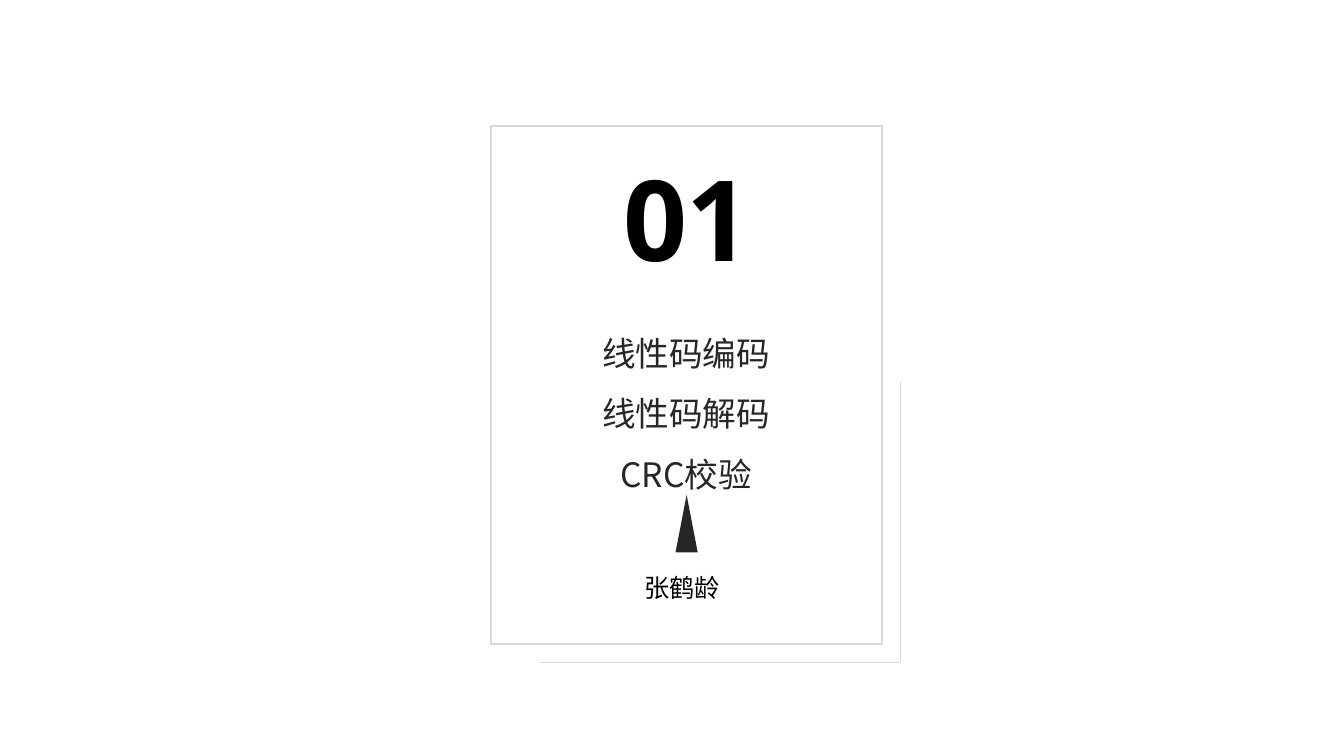
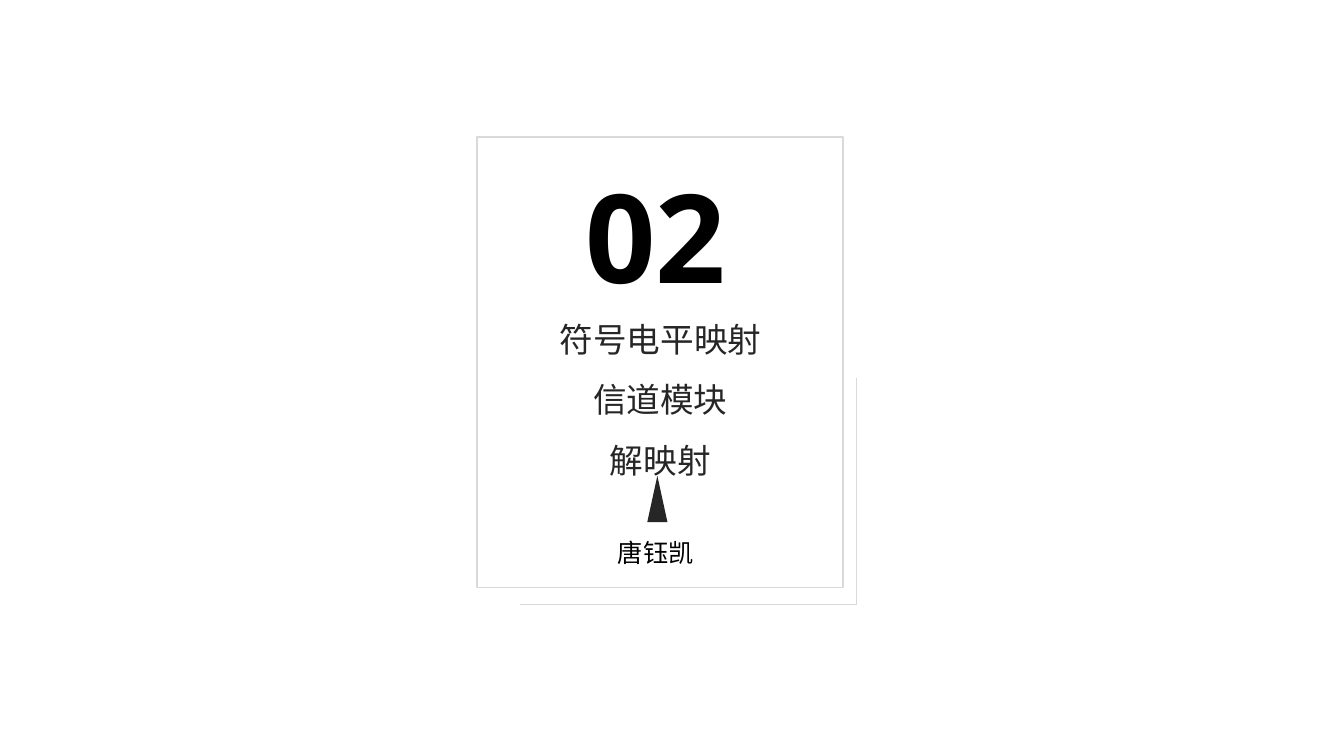
import pptx
import pptx.dml.color
import pptx.enum.shapes
import pptx.enum.text
import pptx.oxml.ns
import pptx.util
from lxml import etree

BLACK = pptx.dml.color.RGBColor(0x00, 0x00, 0x00)
CHARCOAL = pptx.dml.color.RGBColor(0x26, 0x26, 0x26)
SILVER = pptx.dml.color.RGBColor(0xD9, 0xD9, 0xD9)
NUMBER_FONT = "Open Sans"
TEXT_FONT = "Noto Sans CJK SC"
EMU_PER_PX = 9144  # 100 px to the inch
CENTER = pptx.enum.text.PP_ALIGN.CENTER
LEFT = pptx.enum.text.PP_ALIGN.LEFT


def px(*lengths):
    """Turn px lengths into EMU."""
    return [pptx.util.Emu(length * EMU_PER_PX) for length in lengths]


def add_xml(parent, tag, **attributes):
    return etree.SubElement(parent, pptx.oxml.ns.qn(tag), attributes)


def write_text(shape, lines, *, size, font=TEXT_FONT, color=BLACK, bold=False,
               align=LEFT, spacing=1.0):
    frame = shape.text_frame
    frame.word_wrap = True
    frame.auto_size = pptx.enum.text.MSO_AUTO_SIZE.NONE
    frame.vertical_anchor = pptx.enum.text.MSO_ANCHOR.TOP
    frame.text = "\n".join(lines)
    for paragraph in frame.paragraphs:
        paragraph.alignment = align
        paragraph.line_spacing = spacing
        paragraph.space_before = pptx.util.Pt(0)
        properties = paragraph._p.get_or_add_pPr()
        properties.set("marL", "0")
        properties.set("indent", "0")
        add_xml(properties, "a:buNone")
        run = paragraph.runs[0]
        run.font.size = pptx.util.Pt(size)
        run.font.bold = bold
        run.font.color.rgb = color
        run.font.name = font
        add_xml(run._r.get_or_add_rPr(), "a:ea", typeface=font)


class CardDeck:
    """Holds the presentation, its card style and the current slide."""

    def __init__(self):
        self.presentation = pptx.Presentation()
        size = px(1333, 750)
        self.presentation.slide_width, self.presentation.slide_height = size
        self.slide = None

    def new_slide(self):
        layout = self.presentation.slide_layouts[1]
        self.slide = self.presentation.slides.add_slide(layout)

    def place(self, shape, box):
        shape.left, shape.top, shape.width, shape.height = px(*box)

    def number(self, text, box, size):
        title = self.slide.shapes.title
        self.place(title, box)
        write_text(title, [text], size=size, font=NUMBER_FONT, bold=True, align=CENTER)

    def topics(self, lines, box):
        body = self.slide.placeholders[1]
        self.place(body, box)
        write_text(body, lines, size=24, color=CHARCOAL, align=CENTER, spacing=1.5)

    def speaker(self, name, box):
        write_text(self.slide.shapes.add_textbox(*px(*box)), [name], size=18)

    def frame(self, box):
        rectangle = self.slide.shapes.add_shape(
            pptx.enum.shapes.MSO_SHAPE.RECTANGLE, *px(*box))
        rectangle.shadow.inherit = False
        rectangle.fill.background()
        rectangle.line.color.rgb = SILVER
        rectangle.line.width = pptx.util.Pt(1)

    def line(self, start, end):
        connector = self.slide.shapes.add_connector(
            pptx.enum.shapes.MSO_CONNECTOR.STRAIGHT, *px(*start, *end))
        connector.line.color.rgb = SILVER
        connector.line.width = pptx.util.Pt(0.5)
        add_xml(connector._element.spPr, "a:effectLst")

    def corner(self, left, top, right, bottom):
        """Draw the open right and bottom edges behind the frame."""
        self.line((right, top), (right, bottom))
        self.line((right, bottom), (left, bottom))

    def pointer(self, left, top, width, height):
        base = top + height
        builder = self.slide.shapes.build_freeform(left, base, scale=EMU_PER_PX)
        builder.add_line_segments([(left + width / 2, top), (left + width, base)])
        triangle = builder.convert_to_shape()
        triangle.shadow.inherit = False
        triangle.fill.solid()
        triangle.fill.fore_color.rgb = CHARCOAL
        triangle.line.fill.background()

    def card(self, *, number, number_box, number_size, topics, topics_box,
             speaker, speaker_box, frame, corner, pointer):
        self.new_slide()
        self.number(number, number_box, number_size)
        self.frame(frame)
        self.corner(*corner)
        self.speaker(speaker, speaker_box)
        self.pointer(*pointer)
        self.topics(topics, topics_box)


CARDS = [
    dict(number="01", number_box=(515, 143, 333, 145), number_size=80,
         topics=["线性码编码", "线性码解码", "CRC校验"], topics_box=(504, 305, 353, 187),
         speaker="张鹤龄", speaker_box=(629, 563, 126, 40),
         frame=(487, 125, 388, 514), corner=(536, 378, 893, 657),
         pointer=(670, 491, 22, 57)),
    dict(number="02", number_box=(495, 154, 311, 158), number_size=88,
         topics=["符号电平映射", "信道模块", "解映射"], topics_box=(490, 291, 330, 187),
         speaker="唐钰凯", speaker_box=(603, 528, 118, 40),
         frame=(473, 136, 363, 447), corner=(516, 375, 849, 600),
         pointer=(642, 472, 20, 46)),
]


def main():
    deck = CardDeck()
    for card in CARDS:
        deck.card(**card)
    deck.presentation.save("out.pptx")


if __name__ == "__main__":
    main()
